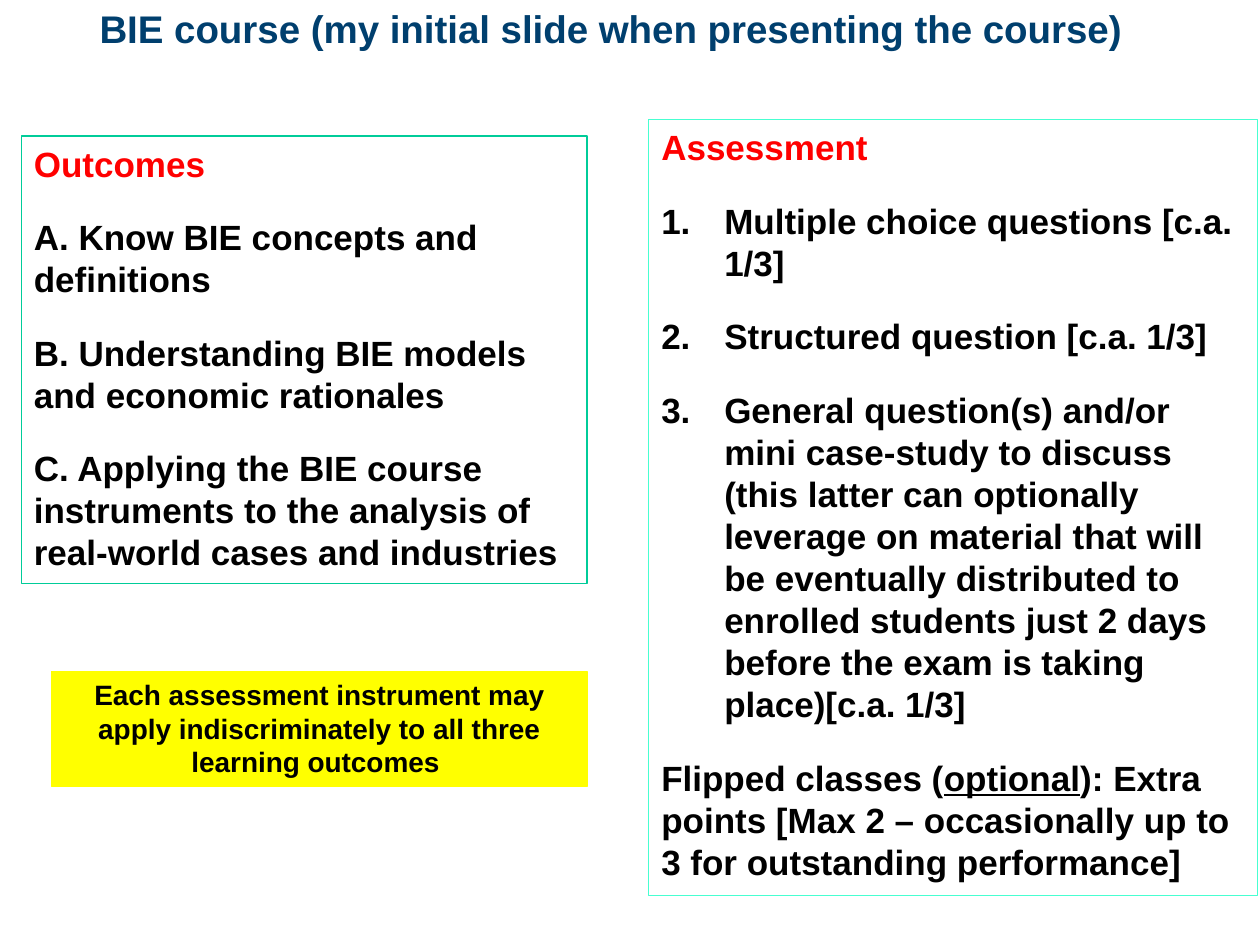
"""Build the BIE course slide with its outcomes, assessment and closing note."""
from dataclasses import dataclass

from lxml.etree import SubElement
from pptx import Presentation
from pptx.dml.color import RGBColor
from pptx.enum.shapes import MSO_SHAPE
from pptx.enum.text import MSO_ANCHOR, MSO_AUTO_SIZE, PP_ALIGN
from pptx.oxml.ns import qn
from pptx.util import Inches, Pt


@dataclass(frozen=True)
class Theme:
    font: str = "Arial"
    navy: RGBColor = RGBColor(0x00, 0x3F, 0x6E)
    red: RGBColor = RGBColor(0xFF, 0x00, 0x00)
    black: RGBColor = RGBColor(0x00, 0x00, 0x00)
    aqua: RGBColor = RGBColor(0x47, 0xFF, 0xD1)
    green: RGBColor = RGBColor(0x00, 0xCC, 0x99)
    yellow: RGBColor = RGBColor(0xFF, 0xFF, 0x00)
    title_size: Pt = Pt(22)
    body_size: Pt = Pt(20)
    note_size: Pt = Pt(16)


theme = Theme()


def style_runs(paragraph, size, color):
    for run in paragraph.runs:
        run.font.name = theme.font
        run.font.size = size
        run.font.bold = True
        run.font.color.rgb = color


def add_box(left, top, width, height, line_color):
    shape = slide.shapes.add_shape(
        MSO_SHAPE.RECTANGLE, Inches(left), Inches(top), Inches(width), Inches(height)
    )
    shape.shadow.inherit = False
    shape.fill.background()
    shape.line.color.rgb = line_color
    shape.line.width = Pt(0.75)
    shape.text_frame.word_wrap = True
    shape.text_frame.vertical_anchor = MSO_ANCHOR.TOP
    shape.text_frame.auto_size = MSO_AUTO_SIZE.SHAPE_TO_FIT_TEXT
    return shape


presentation = Presentation()
presentation.slide_width = Inches(10)
presentation.slide_height = Inches(7.5)
slide = presentation.slides.add_slide(presentation.slide_layouts[6])

title = slide.shapes.add_textbox(Inches(0.79), Inches(0.04), Inches(8.54), Inches(0.92))
title_frame = title.text_frame
title_frame.word_wrap = True
title_frame.margin_left = title_frame.margin_right = Inches(0)
title_frame.margin_top = title_frame.margin_bottom = Inches(0)
title_frame.text = "BIE course (my initial slide when presenting the course)"
style_runs(title_frame.paragraphs[0], theme.title_size, theme.navy)

assessment = add_box(5.15, 0.95, 4.83, 6.16, theme.aqua)
assessment.text_frame.text = "\n".join([
    "Assessment",
    "Multiple choice questions [c.a. 1/3]",
    "Structured question [c.a. 1/3]",
    "General question(s) and/or mini case-study to discuss (this latter can optionally "
    "leverage on material that will be eventually distributed to enrolled students "
    "just 2 days before the exam is taking place)[c.a. 1/3]",
    "Flipped classes (",
])
flipped_classes = assessment.text_frame.paragraphs[-1]
optional = flipped_classes.add_run()
optional.text = "optional"
optional.font.underline = True
flipped_classes.add_run().text = (
    "): Extra points [Max 2 – occasionally up to 3 for outstanding performance]"
)

for paragraph in assessment.text_frame.paragraphs[1:4]:
    properties = paragraph._p.get_or_add_pPr()
    properties.set("marL", str(Inches(0.5)))
    properties.set("indent", str(Inches(-0.5)))
    SubElement(properties, qn("a:buFont"), typeface="+mj-lt")
    SubElement(properties, qn("a:buAutoNum"), type="arabicPeriod")

outcomes = add_box(0.17, 1.08, 4.49, 3.55, theme.green)
outcomes.text_frame.text = "\n".join([
    "Outcomes",
    "A. Know BIE concepts and definitions",
    "B. Understanding BIE models and economic rationales",
    "C. Applying the BIE course instruments to the analysis of real-world cases "
    "and industries",
])

for box in (assessment, outcomes):
    for index, paragraph in enumerate(box.text_frame.paragraphs):
        paragraph.alignment = PP_ALIGN.LEFT
        paragraph.space_before = Pt(18)
        style_runs(paragraph, theme.body_size, theme.black if index else theme.red)

note = add_box(0.41, 5.33, 4.25, 0.91, theme.yellow)
note.fill.solid()
note.fill.fore_color.rgb = theme.yellow
note.text_frame.text = (
    "Each assessment instrument may apply indiscriminately to all three learning outcomes "
)
note_paragraph = note.text_frame.paragraphs[0]
note_paragraph.alignment = PP_ALIGN.CENTER
style_runs(note_paragraph, theme.note_size, theme.black)

presentation.save("out.pptx")
